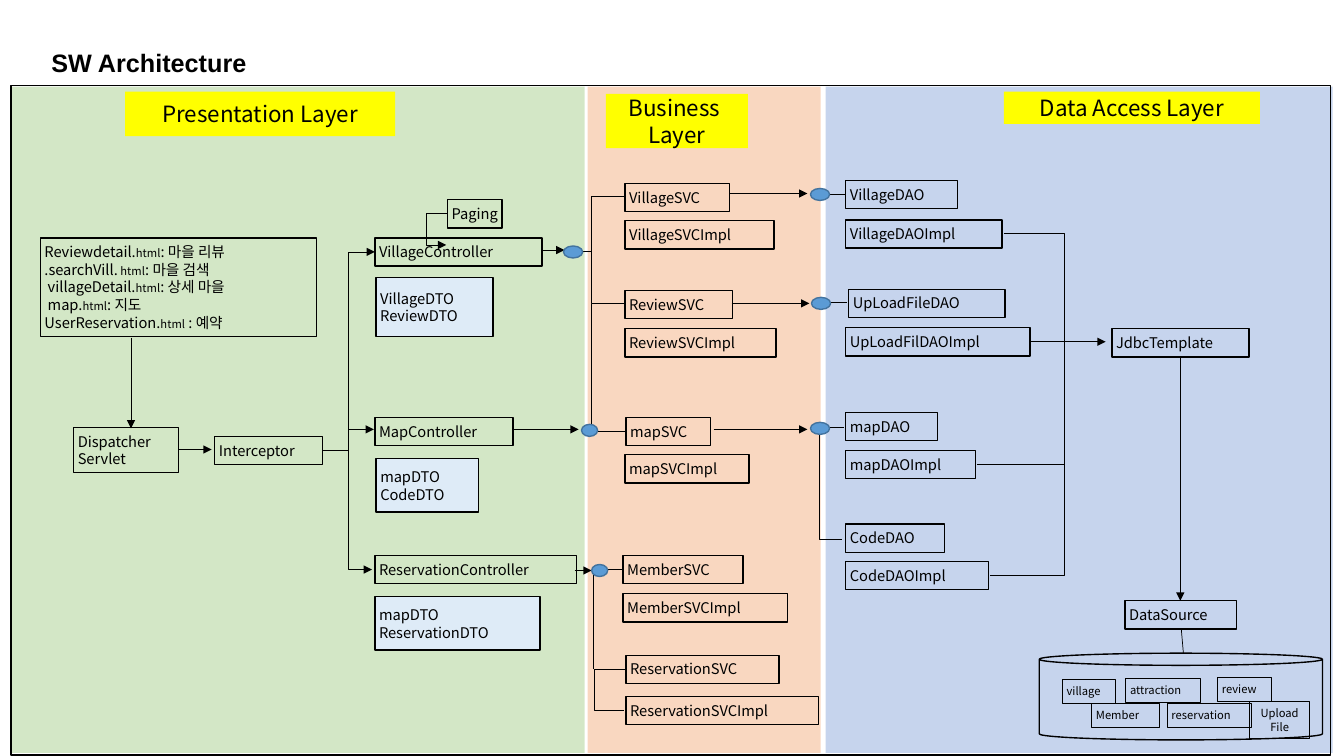
from pptx import Presentation
from pptx.dml.color import RGBColor
from pptx.enum.shapes import MSO_CONNECTOR, MSO_SHAPE
from pptx.enum.text import MSO_ANCHOR, PP_ALIGN
from pptx.oxml.ns import qn
from pptx.util import Pt
from lxml.etree import SubElement

FONT = "Noto Sans CJK KR"
LAYERS = [
    ("8FAADC", 589.7, 362.2, ("Data Access Layer", 717.1, 65.5, 182.9, 23)),
    ("F4B183", 419.8, 166.3, ("Business \nLayer", 432.7, 67, 101.5, 38.9)),
    ("A9D18E", 8.6, 409, ("Presentation Layer", 89.3, 65.5, 193, 31.7)),
]
PAGES = [
    ("Reviewdetail.", "html", ": 마을 리뷰"),
    (".searchVill.", " html", ": 마을 검색"),
    (" villageDetail.", "html", ": 상세 마을"),
    (" map.", "html", ": 지도"),
    ("UserReservation.", "html", " : 예약"),
]
COMPONENTS = [
    ("Dispatcher\nServlet", 52.6, 305.3, 74.9, 32.4),
    ("Interceptor", 153.4, 311.8, 77),
    ("Paging", 319.7, 142.6, 38.9),
    ("VillageController", 267.8, 169.9, 119.5),
    ("MapController", 267.8, 298.1, 98.6),
    ("ReservationController", 267.8, 396.7, 144),
    ("VillageSVC", 446.4, 131, 74.9),
    ("VillageSVCImpl", 446.4, 157.7, 106.6),
    ("ReviewSVC", 446.4, 207.4, 77),
    ("ReviewSVCImpl", 446.4, 234.7, 108),
    ("mapSVC", 447.1, 298.1, 60.5),
    ("mapSVCImpl", 446.4, 324.7, 88.6),
    ("MemberSVC", 445, 396.7, 85.7),
    ("MemberSVCImpl", 445, 424.1, 117.4),
    ("ReservationSVC", 447.1, 468, 109.4),
    ("ReservationSVCImpl", 447.1, 497.5, 137.5),
    ("VillageDAO", 604.1, 128.9, 79.9),
    ("VillageDAOImpl", 604.1, 157, 111.6),
    ("UpLoadFileDAO", 606.2, 206.6, 111.6),
    ("UpLoadFilDAOImpl", 604.1, 234, 131.8),
    ("mapDAO", 604.1, 294.5, 65.5),
    ("mapDAOImpl", 604.1, 321.8, 92.9),
    ("CodeDAO", 604.1, 374.4, 70.6),
    ("CodeDAOImpl", 604.1, 401, 102.2),
    ("JdbcTemplate", 794.2, 234.7, 97.9),
    ("DataSource", 803.5, 429.1, 79.9),
]
DTOS = [
    ("VillageDTO\nReviewDTO", 268.6, 198, 83.5, 42.5),
    ("mapDTO\nCodeDTO", 268.6, 327.6, 73.4, 38.2),
    ("mapDTO\nReservationDTO", 267.8, 426.2, 118.1, 38.2),
]
TABLES = [
    ("village", 758.9, 485.3, 38.2),
    ("attraction", 804.2, 484.6, 53.3),
    ("review", 869.8, 483.8, 38.2),
    ("Member", 779.8, 502.6, 48.2),
    ("reservation", 833.8, 502.6, 60.5),
]
UPLOAD = ("Upload\nFile", 892.8, 501.1, 42.5, 26.6)
ARROWS = [
    (127.4, 321.1, 151.2, 321.1), (367.2, 306.7, 413.3, 306.7),
    (93.6, 241.2, 93.6, 306), (388.1, 178.6, 403.2, 178.6),
    (249.1, 306.7, 267.1, 306.7), (521.3, 138.2, 576.7, 138.2),
    (522.7, 216.7, 578.2, 216.7), (509.8, 306.7, 576.7, 306.7),
    (410.4, 407.5, 422.6, 407.5), (756, 244.1, 789.8, 244.1),
    (843.1, 254.9, 843.1, 429.1),
]
LINES = [
    (416.2, 179.3, 422.6, 179.3), (592.6, 139, 604.1, 139),
    (592.6, 216, 604.8, 216), (736.6, 244.1, 760.3, 244.1),
    (843.8, 449.3, 845.3, 466.6), (697.7, 331.9, 760.3, 331.9),
]
ELBOW_ARROWS = [
    (230.4, 321.8, 267.8, 180, 249.1),
    (230.4, 321.8, 265.7, 406.8, 249.1),
    (319.7, 152.6, 318.7, 175, 304.6),
]
ELBOWS = [
    (446.4, 140.4, 445.4, 216.7, 422.6),
    (447.1, 308.2, 422.6, 217.4, 422.6),
    (447.1, 478.1, 446.1, 507.6, 424.1),
    (445.7, 406.8, 424.1, 478.1, 424.1),
    (602.6, 305.3, 601.6, 385.2, 585.4),
    (717.1, 167, 707, 411.1, 760.3),
]
NODES = [
    (578.9, 134.6, 13.7), (402.5, 175.7, 13.7), (415.4, 303.1, 11.5),
    (579.6, 212.4, 13.7), (422.6, 403.2, 11.5), (578.9, 301.7, 13.7),
]

prs = Presentation()
prs.slide_width, prs.slide_height = Pt(960), Pt(540)
s = prs.slides.add_slide(prs.slide_layouts[6])


def rgb(value):
    return RGBColor.from_string(value)


def apply(target, values):
    for name, value in values.items():
        setattr(target, name, value)


def add_box(x, y, w, h, fill=None, line="000000", width=1, kind=MSO_SHAPE.RECTANGLE):
    sp = s.shapes.add_shape(kind, Pt(x), Pt(y), Pt(w), Pt(h))
    sp.shadow.inherit = False
    if fill:
        sp.fill.solid()
        sp.fill.fore_color.rgb = rgb(fill)
    else:
        sp.fill.background()
    if line:
        sp.line.color.rgb = rgb(line)
        sp.line.width = Pt(width)
    else:
        sp.line.fill.background()
    return sp


def write(sp, lines, size, align=PP_ALIGN.LEFT, anchor=MSO_ANCHOR.TOP, font=FONT, bold=False, inset=3):
    tf = sp.text_frame
    apply(tf, {"word_wrap": True, "vertical_anchor": anchor,
               "margin_left": Pt(inset), "margin_right": 0 if align == PP_ALIGN.LEFT else Pt(inset),
               "margin_top": Pt(inset * 1.2), "margin_bottom": Pt(inset * 1.2)})
    for i, runs in enumerate(lines):
        p = tf.paragraphs[0] if i == 0 else tf.add_paragraph()
        p.alignment = align
        for text in runs:
            r = p.add_run()
            r.text = text
            apply(r.font, {"size": Pt(8 if text.strip() == "html" else size), "name": font, "bold": bold})
            r.font.color.rgb = rgb("000000")
            SubElement(r.font._element, qn("a:ea")).set("typeface", font)
    return tf


def add_text_box(item, size=10.5, height=20.2, fill=None, line="000000", width=1, **style):
    text, x, y, w, *h = item
    sp = add_box(x, y, w, h[0] if h else height, fill, line, width)
    write(sp, [[t] for t in text.split("\n")], size, **style)


def add_line(x1, y1, x2, y2, via=None, arrow=False):
    kind = MSO_CONNECTOR.STRAIGHT if via is None else MSO_CONNECTOR.ELBOW
    c = s.shapes.add_connector(kind, Pt(x1), Pt(y1), Pt(x2), Pt(y2))
    c.line.color.rgb = rgb("000000")
    c.line.width = Pt(0.5)
    props = c._element.spPr
    if via is not None:
        guides = props.find(qn("a:prstGeom")).get_or_add_avLst()
        guide = SubElement(guides, qn("a:gd"))
        guide.set("name", "adj1")
        guide.set("fmla", f"val {round((via - x1) / (x2 - x1) * 100000)}")
    if arrow:
        SubElement(c.line._get_or_add_ln(), qn("a:tailEnd")).set("type", "triangle")
    SubElement(props, qn("a:effectLst"))


for color, x, w, label in LAYERS:
    sp = add_box(x, 61.9, w, 475.9, color, None)
    SubElement(sp._element.spPr.find(qn("a:solidFill"))[0], qn("a:alpha")).set("val", "50000")
for *_, label in LAYERS:
    add_text_box(label, 16, fill="FFFF00", line=None, align=PP_ALIGN.CENTER, anchor=MSO_ANCHOR.MIDDLE)

write(add_box(28.8, 169.9, 197.3, 70.6), PAGES, 10.5)
for item in COMPONENTS:
    add_text_box(item)
for item in DTOS:
    add_text_box(item, fill="DEEBF7", anchor=MSO_ANCHOR.MIDDLE)
add_box(742.3, 466.6, 202.3, 61.9, kind=MSO_SHAPE.CAN).adjustments[0] = 0.14
for item in TABLES:
    add_text_box(item, 8, 17.3, width=0.75)
add_text_box(UPLOAD, 8, width=0.75, align=PP_ALIGN.CENTER)

for group, arrow in ((ARROWS, True), (LINES, False), (ELBOW_ARROWS, True), (ELBOWS, False)):
    for points in group:
        add_line(*points, arrow=arrow)
for x, y, w in NODES:
    add_box(x, y, w, 8.6, "5B9BD5", "43739E", kind=MSO_SHAPE.FLOWCHART_CONNECTOR)
add_box(7.9, 61.2, 942.5, 478.1)

title = s.shapes.add_textbox(Pt(36.7), Pt(18), Pt(232.6), Pt(49))
tf = write(title, [["SW Architecture"]], 18, PP_ALIGN.JUSTIFY, MSO_ANCHOR.MIDDLE, "Arial", True, 0)
tf.paragraphs[0].line_spacing = 1.2
prs.save("out.pptx")
